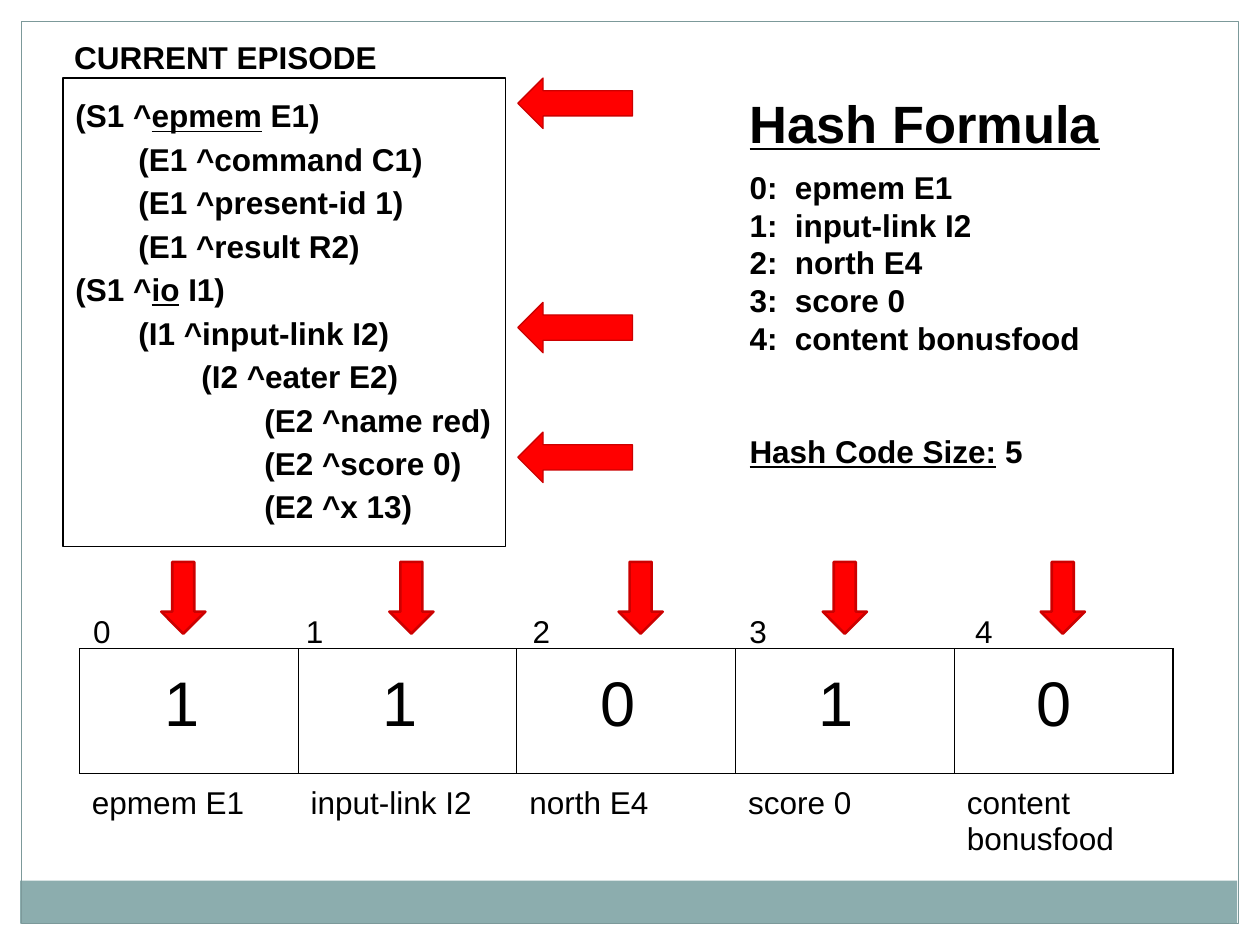
"""Build the hash formula slide for an episode."""
from lxml import etree
from pptx import Presentation
from pptx.dml.color import RGBColor
from pptx.enum.shapes import MSO_SHAPE as SHAPE
from pptx.enum.text import MSO_ANCHOR as ANCHOR, PP_ALIGN as ALIGN
from pptx.oxml.ns import qn
from pptx.util import Inches, Pt

rgb = RGBColor.from_string


def add_shape(kind, x, y, w, h, fill=None, line=None, width=0.75):
    """Add a preset shape with an optional fill and outline."""
    sp = s.shapes.add_shape(kind, Inches(x), Inches(y), Inches(w), Inches(h))
    sp.shadow.inherit = False
    if fill:
        sp.fill.solid()
        sp.fill.fore_color.rgb = rgb(fill)
    else:
        sp.fill.background()
    if line:
        sp.line.color.rgb = rgb(line)
        sp.line.width = Pt(width)
    else:
        sp.line.fill.background()
    return sp


def write(tf, lines, size=18, bold=False, spacing=1.0):
    """Fill a frame with lines of (left margin, first indent, runs)."""
    tf.word_wrap = True
    tf.vertical_anchor = ANCHOR.TOP
    tf.margin_left = tf.margin_right = tf.margin_top = tf.margin_bottom = Inches(0.1)
    for i, (left, indent, runs) in enumerate(lines):
        p = tf.paragraphs[0] if i == 0 else tf.add_paragraph()
        p.alignment = ALIGN.LEFT
        p.line_spacing = spacing
        pPr = p._p.get_or_add_pPr()
        pPr.set("marL", str(Inches(left)))
        pPr.set("indent", str(Inches(indent)))
        for text, underline in runs:
            r = p.add_run()
            r.text = text
            r.font.name = "Arial"
            r.font.size = Pt(size)
            r.font.bold = bold
            r.font.underline = underline
            r.font.color.rgb = rgb("000000")


prs = Presentation()
prs.slide_width, prs.slide_height = Inches(10), Inches(7.5)
s = prs.slides.add_slide(prs.slide_layouts[6])

add_shape(SHAPE.RECTANGLE, 0.16, 6.99, 9.66, 0.34, fill="8CADAE")
add_shape(SHAPE.RECTANGLE, 0.17, 0.17, 9.66, 7.16, line="7C999A")

episode = [
    (0, 0, [("(S1 ^", False), ("epmem", True), (" E1)", False)]),
    (0, 0.5, [("(E1 ^command C1)", False)]),
    (0, 0.5, [("(E1 ^present-id 1)", False)]),
    (0, 0.5, [("(E1 ^result R2)", False)]),
    (0, 0, [("(S1 ^", False), ("io", True), (" I1)", False)]),
    (0, 0.5, [("(I1 ^input-link I2)", False)]),
    (0.5, 0.5, [("(I2 ^eater E2)", False)]),
    (1, 0.5, [("(E2 ^name red)", False)]),
    (1, 0.5, [("(E2 ^score 0)", False)]),
    (1, 0.5, [("(E2 ^x 13)", False)]),
]
sp = add_shape(SHAPE.RECTANGLE, 0.5, 0.62, 3.51, 3.72, line="000000")
write(sp.text_frame, episode, bold=True, spacing=1.15)

features = ["epmem E1", "input-link I2", "north E4", "score 0", "content bonusfood"]
bits = "11010"

frame = s.shapes.add_table(2, 5, Inches(0.63), Inches(5.15), Inches(8.68), Inches(2.53))
table = frame.table
table.first_row = table.horz_banding = False
table.rows[0].height, table.rows[1].height = Inches(0.99), Inches(1.54)
for col, feature in enumerate(features):
    table.columns[col].width = Inches(8.68 / 5)
    write(table.cell(1, col).text_frame, [(0, 0, [(feature, False)])])
    for row, drawn in enumerate(("LRTB", "T")):
        cell = table.cell(row, col)
        cell.margin_left = cell.margin_right = Inches(0.1)
        cell.margin_top = cell.margin_bottom = Inches(0.1)
        tcPr = cell._tc.get_or_add_tcPr()
        for side in "LRTB":
            ln = etree.SubElement(tcPr, qn(f"a:ln{side}"), w=str(Pt(0.75)))
            if side in drawn:
                fill = etree.SubElement(ln, qn("a:solidFill"))
                etree.SubElement(fill, qn("a:srgbClr"), val="000000")
            else:
                etree.SubElement(ln, qn("a:noFill"))
        cell.fill.background()

for i, x in enumerate((0.64, 2.33, 4.13, 5.85, 7.64)):
    tb = s.shapes.add_textbox(Inches(x), Inches(4.76), Inches(0.5), Inches(0.32))
    write(tb.text_frame, [(0, 0, [(str(i), False)])])

for i, bit in enumerate(bits):
    tb = s.shapes.add_textbox(Inches(0.65 + i * 1.73), Inches(5.17), Inches(1.72), Inches(0.97))
    write(tb.text_frame, [(0.56, 0, [(bit, False)])], size=36)

for y in (0.62, 2.4, 3.43):
    add_shape(SHAPE.LEFT_ARROW, 4.11, y, 0.91, 0.4, "FF0000", "CC0000")
for x in (1.28, 3.09, 4.91, 6.53, 8.26):
    add_shape(SHAPE.DOWN_ARROW, x, 4.46, 0.35, 0.57, "FF0000", "CC0000", 1.5)

tb = s.shapes.add_textbox(Inches(5.85), Inches(0.62), Inches(3.05), Inches(3.11))
formula = [(0, 0, [("Hash Formula", True)])]
formula += [(0.36, -0.36, [(f"{i}:\t{feature}", False)]) for i, feature in enumerate(features)]
formula.append((0, 0, [("Hash Code Size:", True), (" 5", False)]))
write(tb.text_frame, formula, bold=True)
title, first, *_, code_size = tb.text_frame.paragraphs
title.runs[0].font.size = Pt(30)
first.space_before = Pt(8)
code_size.space_before = Pt(43)

tb = s.shapes.add_textbox(Inches(0.49), Inches(0.2), Inches(3.36), Inches(0.4))
write(tb.text_frame, [(0, 0, [("CURRENT EPISODE", False)])], bold=True)

prs.save("out.pptx")
